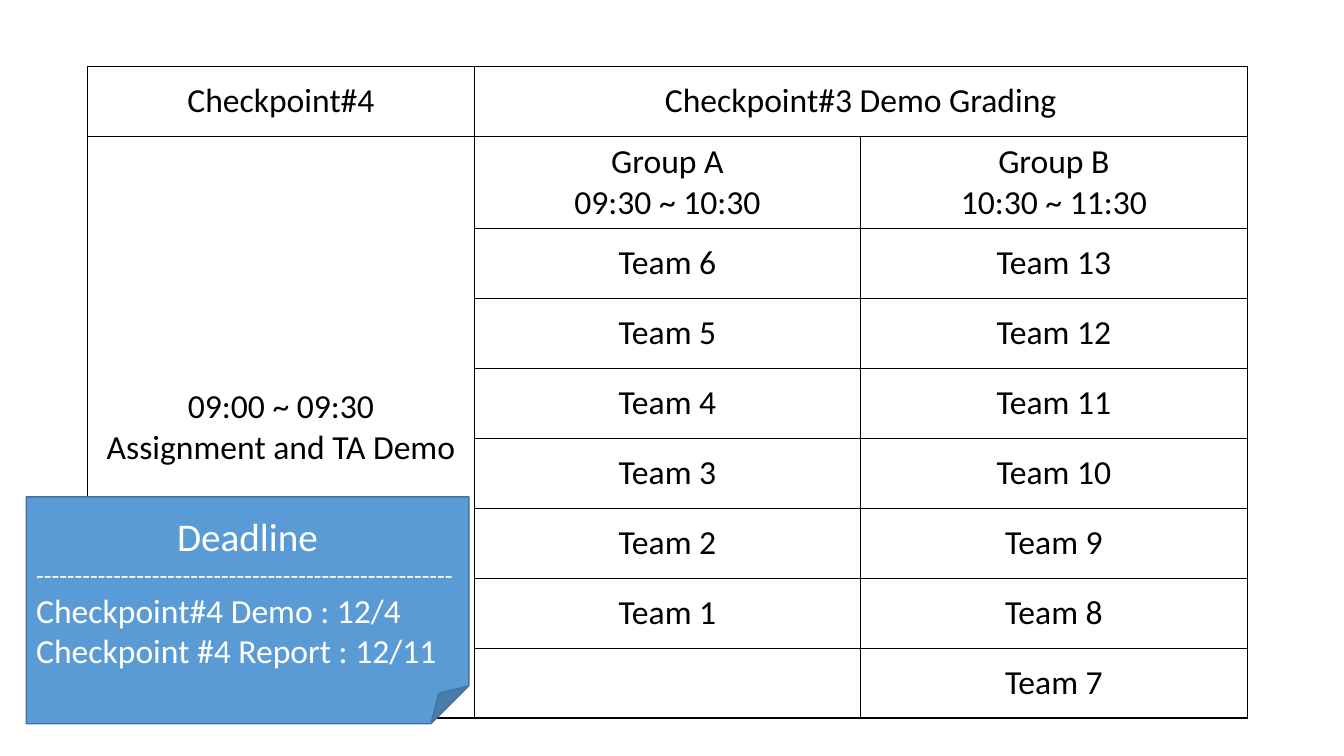
from lxml import etree
from pptx import Presentation
from pptx.dml.color import RGBColor
from pptx.enum.shapes import MSO_SHAPE
from pptx.enum.text import MSO_ANCHOR, PP_ALIGN
from pptx.oxml.ns import qn
from pptx.util import Inches, Pt

BLACK = RGBColor(0x00, 0x00, 0x00)
WHITE = RGBColor(0xFF, 0xFF, 0xFF)
BLUE = RGBColor(0x5B, 0x9B, 0xD5)
DARK_BLUE = RGBColor(0x43, 0x73, 0x9E)
FONT = "Calibri"

ROW_H, GROUP_ROW_H = 0.694, 0.83
GROUPS = ["Group A\n09:30 ~ 10:30", "Group B\n10:30 ~ 11:30"]
TEAMS_A = [f"Team {n}" for n in range(6, 0, -1)] + [""]
TEAMS_B = [f"Team {n}" for n in range(13, 6, -1)]
SCHEDULE = [
    ["Checkpoint#4", "Checkpoint#3 Demo Grading", ""],
    ["09:00 ~ 09:30\nAssignment and TA Demo", *GROUPS],
    *[["", a, b] for a, b in zip(TEAMS_A, TEAMS_B)],
]


def format_run(r, size, color):
    r.font.name = FONT
    r.font.size = Pt(size)
    r.font.color.rgb = color


def set_borders(cell):
    """Draw a thin black line on all four sides of the cell."""
    tc_pr = cell._tc.get_or_add_tcPr()
    for i, side in enumerate(("a:lnL", "a:lnR", "a:lnT", "a:lnB")):
        ln = etree.Element(qn(side), w=str(Pt(1)))
        fill = etree.SubElement(ln, qn("a:solidFill"))
        etree.SubElement(fill, qn("a:srgbClr"), val=str(BLACK))
        tc_pr.insert(i, ln)


def fill_cell(cell, text):
    cell.fill.background()
    cell.vertical_anchor = MSO_ANCHOR.MIDDLE
    set_borders(cell)
    if not text:
        return
    cell.text_frame.text = text
    for p in cell.text_frame.paragraphs:
        p.alignment = PP_ALIGN.CENTER
        for r in p.runs:
            format_run(r, 24, BLACK)


def add_schedule(slide, left, top, width):
    n_rows, n_cols = len(SCHEDULE), len(SCHEDULE[0])
    height = ROW_H * (n_rows - 1) + GROUP_ROW_H
    table = slide.shapes.add_table(
        n_rows, n_cols, Inches(left), Inches(top), Inches(width), Inches(height)
    ).table
    table.first_row = table.horz_banding = False
    for col in table.columns:
        col.width = Inches(width / n_cols)
    for i, row in enumerate(table.rows):
        row.height = Inches(GROUP_ROW_H if i == 1 else ROW_H)
    for i, texts in enumerate(SCHEDULE):
        for j, text in enumerate(texts):
            fill_cell(table.cell(i, j), text)
    table.cell(0, 1).merge(table.cell(0, n_cols - 1))
    table.cell(1, 0).merge(table.cell(n_rows - 1, 0))


def add_deadline_note(slide, left, top, width, height):
    sp = slide.shapes.add_shape(
        MSO_SHAPE.FOLDED_CORNER,
        Inches(left), Inches(top), Inches(width), Inches(height),
    )
    sp.shadow.inherit = False
    sp.fill.solid()
    sp.fill.fore_color.rgb = BLUE
    sp.line.color.rgb = DARK_BLUE
    sp.line.width = Pt(1)
    tf = sp.text_frame
    tf.word_wrap = True
    tf.vertical_anchor = MSO_ANCHOR.MIDDLE
    paragraphs = [
        (PP_ALIGN.CENTER, [("Deadline", 28)]),
        (PP_ALIGN.LEFT, [("-" * 54, 18), ("Checkpoint#4 Demo : 12/4", 24)]),
        (PP_ALIGN.LEFT, [("Checkpoint #4 Report : 12/11", 24)]),
    ]
    for i, (align, runs) in enumerate(paragraphs):
        p = tf.add_paragraph() if i else tf.paragraphs[0]
        p.alignment = align
        for text, size in runs:
            r = p.add_run()
            r.text = text
            format_run(r, size, WHITE)


def main():
    prs = Presentation()
    prs.slide_width, prs.slide_height = Inches(13.33), Inches(7.5)
    slide = prs.slides.add_slide(prs.slide_layouts[6])
    add_schedule(slide, 0.87, 0.66, 11.5)
    add_deadline_note(slide, 0.26, 4.93, 4.39, 2.25)
    prs.save("out.pptx")


if __name__ == "__main__":
    main()
